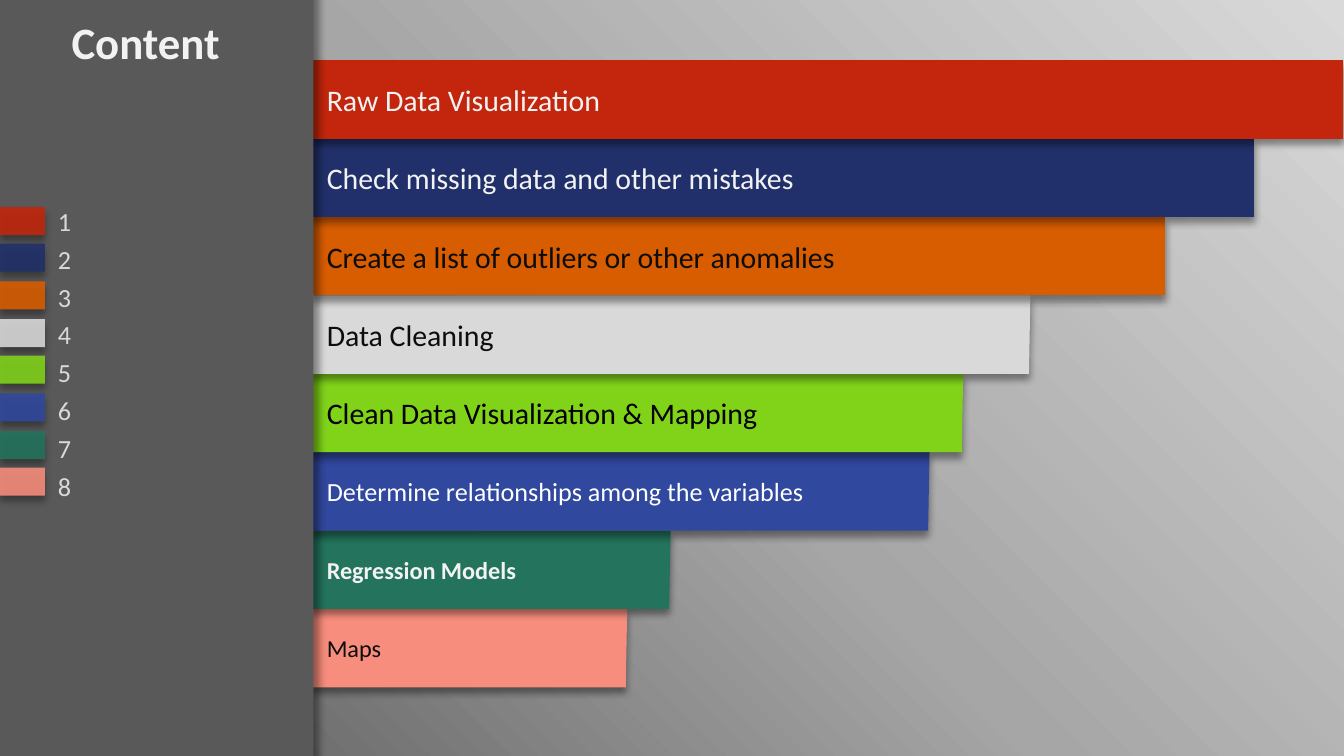
from collections import namedtuple
from dataclasses import dataclass

from lxml import etree
from pptx import Presentation
from pptx import util as u
from pptx.dml.color import RGBColor
from pptx.enum import shapes, text
from pptx.oxml import ns

PX = 9525  # EMU in one px, 96 px to the inch


@dataclass(frozen=True)
class Theme:
    font: str = "Calibri"
    light: str = "F2F2F2"
    dark: str = "0D0D0D"
    panel: str = "595959"
    label: str = "D9D9D9"
    backdrop: tuple = ("F2F2F2", "A6A6A6", "595959")
    overlay: tuple = ("D9D9D9", "A6A6A6", "595959")
    title_size: int = 24
    label_size: int = 14
    swatch_opacity: int = 89


THEME = Theme()
Box = namedtuple("Box", "left top width height")
Topic = namedtuple("Topic", "title fill ink size bar_width text_width slant bold",
                   defaults=(False,))
TOPICS = [
    Topic("Raw Data Visualization", "C3260C", THEME.light, 16, 736, 512, 0),
    Topic("Check missing data and other mistakes", "21306A", THEME.light, 16, 673, 512, 0),
    Topic("Create a list of outliers or other anomalies", "D85C00", THEME.dark, 16, 609, 512, 0),
    Topic("Data Cleaning", "D9D9D9", THEME.dark, 16, 513, 512, 1),
    Topic("Clean Data Visualization & Mapping", "81D31A", "000000", 16, 465, 361, 1),
    Topic("Determine relationships among the variables", "31489F", "FFFFFF", 14, 441, 384, 1),
    Topic("Regression Models", "23735D", THEME.light, 13, 256, 240, 1, True),
    Topic("Maps", "F78D7C", THEME.dark, 13, 225, 168, 1),
]


def emu(box):
    return [u.Emu(length * PX) for length in box]


def add_element(parent, tag, **attributes):
    element = etree.SubElement(parent, ns.qn(tag))
    for name, value in attributes.items():
        element.set(name, str(value))
    return element


def set_corner_gradient(fill, owner, colors):
    """Fill with a circular gradient that starts in the top right corner."""
    fill.gradient()
    gradient = owner.find(".//" + ns.qn("a:gradFill"))
    for child in list(gradient):
        gradient.remove(child)
    stops = add_element(gradient, "a:gsLst")
    for index, color in enumerate(colors):
        stop = add_element(stops, "a:gs", pos=index * 50000)
        add_element(stop, "a:srgbClr", val=color)
    circle = add_element(gradient, "a:path", path="circle")
    add_element(circle, "a:fillToRect", l=100000, b=100000)


def paint(shape, color, shadow_angle=90, opacity=100):
    """Give a shape a solid fill, no line and a soft shadow."""
    shape.fill.solid()
    shape.fill.fore_color.rgb = RGBColor.from_string(color)
    shape.line.fill.background()
    shape.shadow.inherit = False
    properties = shape._element.spPr
    if opacity < 100:
        solid = properties.find(ns.qn("a:solidFill"))
        add_element(solid[0], "a:alpha", val=opacity * 1000)
    shadow = add_element(properties.find(ns.qn("a:effectLst")), "a:outerShdw",
                         blurRad=u.Pt(4), dist=u.Pt(3), dir=shadow_angle * 60000,
                         algn="ctr", rotWithShape=0)
    black = add_element(shadow, "a:srgbClr", val="000000")
    add_element(black, "a:alpha", val=40000)


def add_text(parent, box, words, size, color, bold=False,
             anchor=text.MSO_ANCHOR.TOP, align=text.PP_ALIGN.LEFT):
    frame = parent.add_textbox(*emu(box)).text_frame
    frame.word_wrap = True
    frame.vertical_anchor = anchor
    frame.text = words
    para = frame.paragraphs[0]
    para.alignment = align
    font = para.runs[0].font
    font.name = THEME.font
    font.size = u.Pt(size)
    font.bold = bold
    font.color.rgb = RGBColor.from_string(color)


def add_backdrop(page, box):
    set_corner_gradient(page.background.fill, page._element, THEME.backdrop)
    overlay = page.shapes.add_shape(shapes.MSO_SHAPE.RECTANGLE, *emu(box))
    set_corner_gradient(overlay.fill, overlay._element, THEME.overlay)
    overlay.line.fill.background()
    overlay.shadow.inherit = False


def add_bar(page, box, topic):
    """Draw one topic bar, its right side slanting in towards the bottom."""
    parts = page.shapes.add_group_shape().shapes
    right, bottom = box.left + box.width, box.top + box.height
    outline = parts.build_freeform(box.left, box.top, scale=PX)
    outline.add_line_segments([(right, box.top), (right - topic.slant, bottom),
                               (box.left, bottom)])
    paint(outline.convert_to_shape(), topic.fill)
    add_text(parts, Box(box.left + 1, box.top, topic.text_width, box.height),
             topic.title, topic.size, topic.ink, topic.bold, text.MSO_ANCHOR.MIDDLE)


def add_bars(page, box):
    """Stack the bars from the lowest up, so each shadow falls on the next bar."""
    height = box.height // len(TOPICS)
    for index, topic in reversed(list(enumerate(TOPICS))):
        top = box.top + index * height
        add_bar(page, Box(box.left, top, topic.bar_width, height), topic)


def add_panel(page, box):
    panel = page.shapes.add_shape(shapes.MSO_SHAPE.RECTANGLE, *emu(box))
    paint(panel, THEME.panel, shadow_angle=0)


def add_legend(page, box):
    for index, topic in enumerate(TOPICS):
        parts = page.shapes.add_group_shape().shapes
        swatch_box = Box(box.left, box.top + 6 + index * 80 // 3, 32, 20)
        swatch = parts.add_shape(shapes.MSO_SHAPE.RECTANGLE, *emu(swatch_box))
        paint(swatch, topic.fill, opacity=THEME.swatch_opacity)
        label_box = Box(box.left + 32, box.top + index * 27, box.width - 32, 21)
        add_text(parts, label_box, str(index + 1), THEME.label_size, THEME.label)


def add_title(page, box):
    add_text(page.shapes, box, "Content", THEME.title_size, THEME.light, True,
             align=text.PP_ALIGN.CENTER)


def main():
    deck = Presentation()
    slide_box = Box(0, 0, 960, 540)
    deck.slide_width, deck.slide_height = emu(slide_box)[2:]
    page = deck.slides.add_slide(deck.slide_layouts[6])
    add_backdrop(page, slide_box)
    add_bars(page, Box(223, 43, 736, 448))
    add_panel(page, Box(-8, -5, 232, 548))
    add_legend(page, Box(0, 142, 216, 210))
    add_title(page, Box(-8, 6, 224, 73))
    deck.save("out.pptx")


if __name__ == "__main__":
    main()
